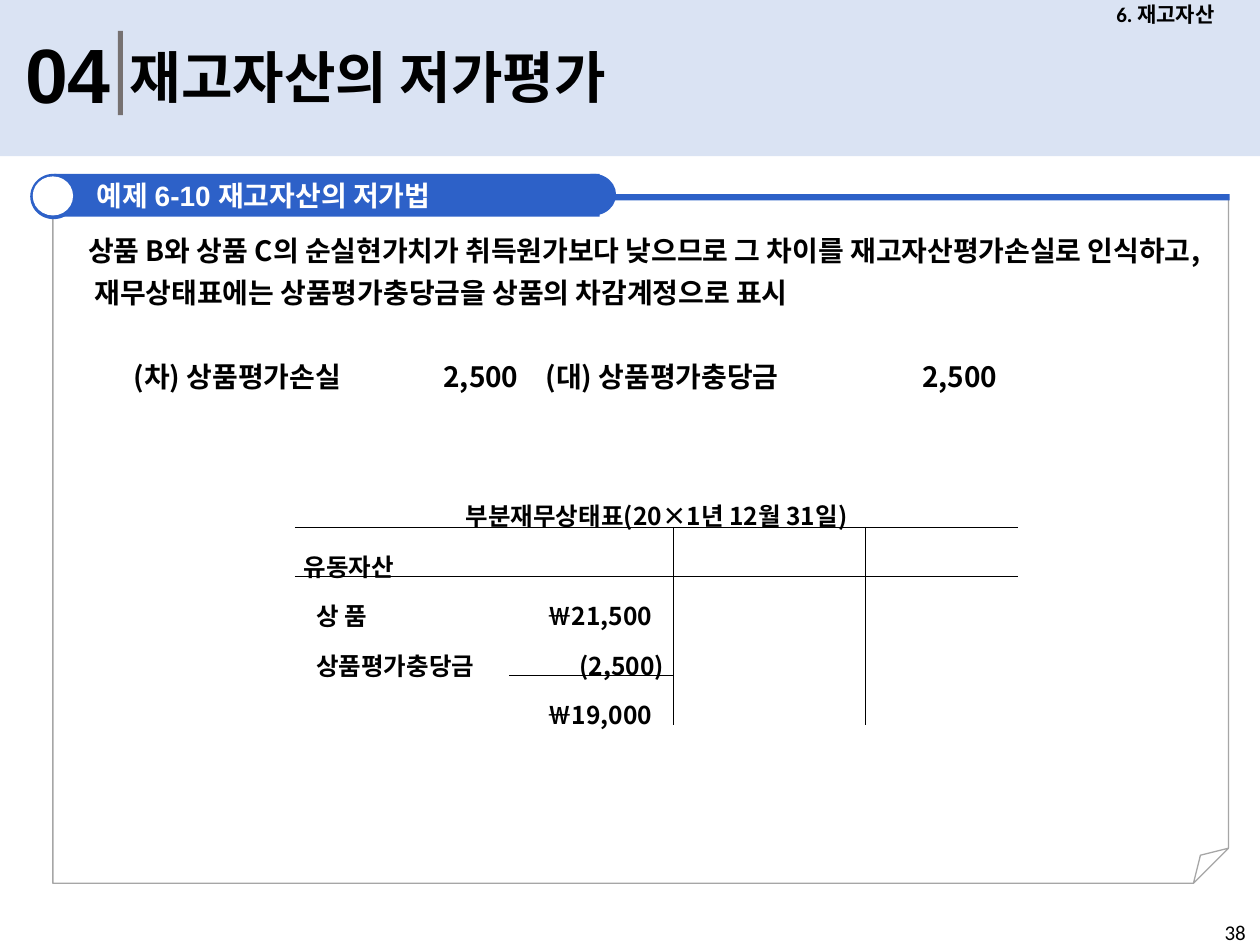
from lxml import etree
from pptx import Presentation
from pptx import util as u
from pptx.dml.color import RGBColor
from pptx.enum import shapes, text
from pptx.oxml import ns

BLACK = RGBColor(0x00, 0x00, 0x00)
WHITE = RGBColor(0xFF, 0xFF, 0xFF)
BLUE = RGBColor(0x2D, 0x61, 0xC8)
PALE_BLUE = RGBColor(0xDA, 0xE3, 0xF3)
DIVIDER_GREY = RGBColor(0x76, 0x71, 0x71)
FRAME_GREY = RGBColor(0xA6, 0xA6, 0xA6)

LATIN, DIGITS, KOREAN = "Calibri", "Arial", "Noto Sans CJK KR"
COLUMNS, ROWS = 100, 75
SLIDE_W, SLIDE_H = u.Inches(10), u.Inches(7.5)
UNIT = SLIDE_W // COLUMNS  # columns and rows of the grid are equally large

SHAPE = shapes.MSO_SHAPE
ALIGN = text.PP_ALIGN
MIDDLE = text.MSO_ANCHOR.MIDDLE
NO_STYLE = "{2D5ABB26-0587-4C30-8999-92F81FD0307C}"


def grid(*lengths):
    return [u.Emu(round(length * UNIT)) for length in lengths]


def inside(box, left, top, width, height):
    """Turn a place relative to a box into a place on the slide grid."""
    return box[0] + left, box[1] + top, width, height


def apply(target, formats):
    for name, value in formats.items():
        setattr(target, name, value)


def add_run(paragraph, wording, size, font=LATIN, color=BLACK, bold=True):
    run = paragraph.add_run()
    run.text = wording
    apply(run.font, {"size": u.Pt(size), "name": font, "bold": bold})
    run.font.color.rgb = color
    east_asian = etree.SubElement(run.font._element, ns.qn("a:ea"))
    east_asian.set("typeface", KOREAN)


def add_label(slide, place, wording, size, font=LATIN, bold=True, align=ALIGN.LEFT, **frame):
    label = slide.shapes.add_textbox(*grid(*place)).text_frame
    apply(label, {"word_wrap": True, **frame})
    label.paragraphs[0].alignment = align
    add_run(label.paragraphs[0], wording, size, font, bold=bold)


def add_block(slide, kind, place, fill=None, line=None):
    block = slide.shapes.add_shape(kind, *grid(*place))
    block.shadow.inherit = False
    if fill is None:
        block.fill.background()
    else:
        block.fill.solid()
        block.fill.fore_color.rgb = fill
    if line is None:
        block.line.fill.background()
    else:
        block.line.color.rgb = line
        block.line.width = u.Pt(0.75)
    return block


def add_header(slide, box):
    add_block(slide, SHAPE.RECTANGLE, box, PALE_BLUE)
    add_label(slide, inside(box, 1, 1.6, 9.1, 8.4), "04", 44, DIGITS, word_wrap=False)
    add_block(slide, SHAPE.RECTANGLE, inside(box, 9.35, 2.45, 0.4, 6.7), DIVIDER_GREY)
    add_label(slide, inside(box, 9.3, 2.9, 56.1, 6.4), "재고자산의 저가평가", 32)
    add_label(slide, inside(box, 85, 0, 15, 2.3), "6. 재고자산", 12,
              align=ALIGN.CENTER, vertical_anchor=MIDDLE)


def add_example_frame(slide, box):
    """Draw the folded page with its blue heading tab."""
    page = add_block(slide, SHAPE.FOLDED_CORNER, inside(box, 1.8, 1.8, 93.3, 54.5),
                     line=FRAME_GREY)
    # python-pptx lists no adjustment for this preset, so the fold is set in XML
    fold = page._element.spPr.find(ns.qn("a:prstGeom")).get_or_add_avLst()
    etree.SubElement(fold, ns.qn("a:gd"), name="adj", fmla="val 5100")
    add_block(slide, SHAPE.RECTANGLE, inside(box, 1.9, 1.6, 93.3, 0.5), BLUE)
    add_block(slide, SHAPE.OVAL, inside(box, 0, 0, 3.7, 3.6), BLUE)
    add_block(slide, SHAPE.OVAL, inside(box, 42.9, 0, 3.6, 3.3), BLUE)
    tab = add_block(slide, SHAPE.RECTANGLE, inside(box, 1.9, 0, 43.3, 3.4), BLUE)
    apply(tab.text_frame, {"vertical_anchor": MIDDLE, "word_wrap": True,
                           "margin_left": grid(3.4)[0]})
    heading = tab.text_frame.paragraphs[0]
    heading.alignment = ALIGN.LEFT
    add_run(heading, "예제 ", 16, LATIN, WHITE)
    add_run(heading, "6-10 재고자산의 저가법", 16, DIGITS, WHITE)
    add_block(slide, SHAPE.OVAL, inside(box, 0.2, 0.2, 3.2, 3.1), WHITE)


def add_explanation(slide, box):
    frame = slide.shapes.add_textbox(*grid(*box)).text_frame
    side, edge = grid(1.1, 0.5)
    apply(frame, {"word_wrap": True, "margin_left": side, "margin_right": side,
                  "margin_top": edge, "margin_bottom": edge})
    reason, entry = frame.paragraphs[0], frame.add_paragraph()
    reason.line_spacing = entry.line_spacing = entry.space_before = u.Pt(24)
    tabs = etree.SubElement(entry._p.get_or_add_pPr(), ns.qn("a:tabLst"))
    for stop in grid(3.6, 28.2, 36.3, 66.2):
        etree.SubElement(tabs, ns.qn("a:tab"), pos=str(int(stop)), algn="l")
    add_run(reason, "상품 B와 상품 C의 순실현가치가 취득원가보다 낮으므로 그 차이를 "
            "재고자산평가손실로 인식하고, 재무상태표에는 상품평가충당금을 "
            "상품의 차감계정으로 표시", 16, KOREAN)
    add_run(entry, "\t(차) 상품평가손실\t2,500\t(대) 상품평가충당금\t2,500", 16, KOREAN)


def add_borders(cell, sides):
    properties = cell._tc.get_or_add_tcPr()
    for position, side in enumerate(s for s in "LRTB" if s in sides):
        border = etree.Element(ns.qn(f"a:ln{side}"), w=str(int(u.Pt(0.28))))
        fill = etree.SubElement(border, ns.qn("a:solidFill"))
        etree.SubElement(fill, ns.qn("a:srgbClr"), val=str(BLACK))
        properties.insert(position, border)


def balance_borders(row, column):
    """Name the ruled sides: a T account with a line above the total."""
    rules = {
        "B": row == 0 or (row, column) == (3, 1),
        "T": row == 1 or (row, column) == (4, 1),
        "R": row > 0 and column == 1,
        "L": row > 0 and column == 2,
    }
    return [side for side, ruled in rules.items() if ruled]


def add_balance_sheet(slide, box):
    widths, heights = (17, 13, 15.3, 12.1), (3.3, 3.9, 3.9, 3.9, 3.9)
    frame = slide.shapes.add_table(len(heights), len(widths), *grid(*box))
    table = frame.table
    table._tbl.tblPr.find(ns.qn("a:tableStyleId")).text = NO_STYLE
    apply(table, {"first_row": False, "horz_banding": False})
    for column, width in zip(table.columns, grid(*widths)):
        column.width = width
    for row, height in zip(table.rows, grid(*heights)):
        row.height = height
    table.cell(0, 0).merge(table.cell(0, len(widths) - 1))

    # (row, column): wording, alignment, left indent
    entries = {
        (0, 0): ("부분재무상태표(20×1년 12월 31일)", ALIGN.CENTER, 0),
        (1, 0): ("유동자산", ALIGN.JUSTIFY, 0),
        (2, 0): ("상 품", ALIGN.JUSTIFY, 1),
        (2, 1): ("￦21,500", ALIGN.CENTER, 1.4),
        (3, 0): ("상품평가충당금", ALIGN.JUSTIFY, 1),
        (3, 1): ("(2,500)", ALIGN.RIGHT, 0),
        (4, 1): ("￦19,000", ALIGN.CENTER, 1.4),
    }
    for row in range(len(heights)):
        for column in range(len(widths)):
            cell = table.cell(row, column)
            wording, align, indent = entries.get((row, column), ("", ALIGN.LEFT, 0))
            left, side, edge = grid(0.7 + indent, 0.7, 0.2)
            apply(cell, {"vertical_anchor": MIDDLE, "margin_left": left,
                         "margin_right": side, "margin_top": edge, "margin_bottom": edge})
            cell.fill.background()
            add_borders(cell, balance_borders(row, column))
            if wording:
                line = cell.text_frame.paragraphs[0]
                apply(line, {"alignment": align, "line_spacing": 1.51 if row else 1.3})
                add_run(line, wording, 14, KOREAN)


def main():
    deck = Presentation()
    apply(deck, {"slide_width": SLIDE_W, "slide_height": SLIDE_H})
    slide = deck.slides.add_slide(deck.slide_layouts[6])
    add_header(slide, (0, 0, COLUMNS, 12.4))
    add_example_frame(slide, (2.4, 13.8, 95.2, 56.3))
    add_explanation(slide, (5.9, 17.4, 90.1, 48.6))
    add_balance_sheet(slide, (23.4, 38.4, 57.4, 18.9))
    add_label(slide, (96.2, ROWS - 2.5, 22.5, 4), "38", 12, bold=False)
    deck.save("out.pptx")


if __name__ == "__main__":
    main()
